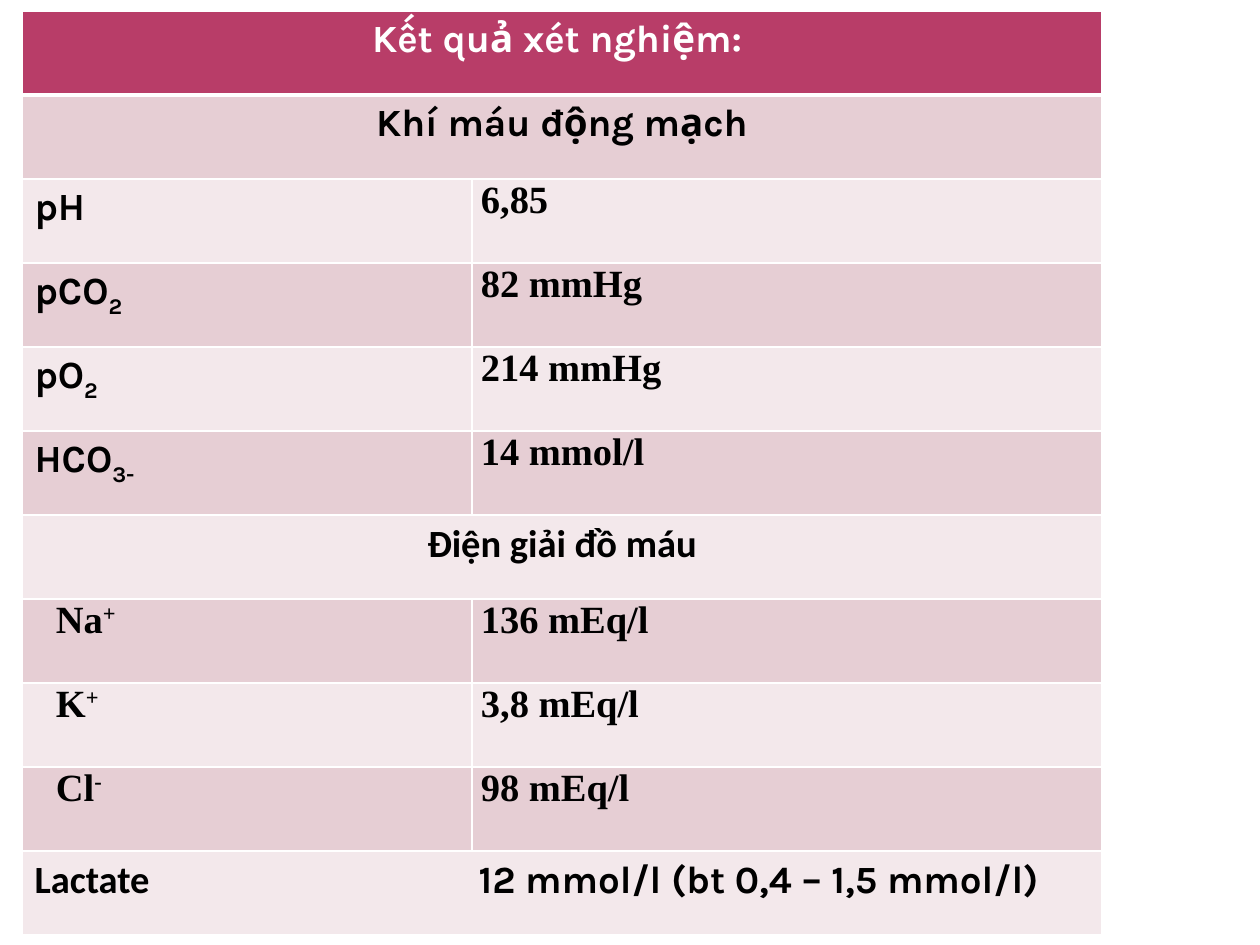
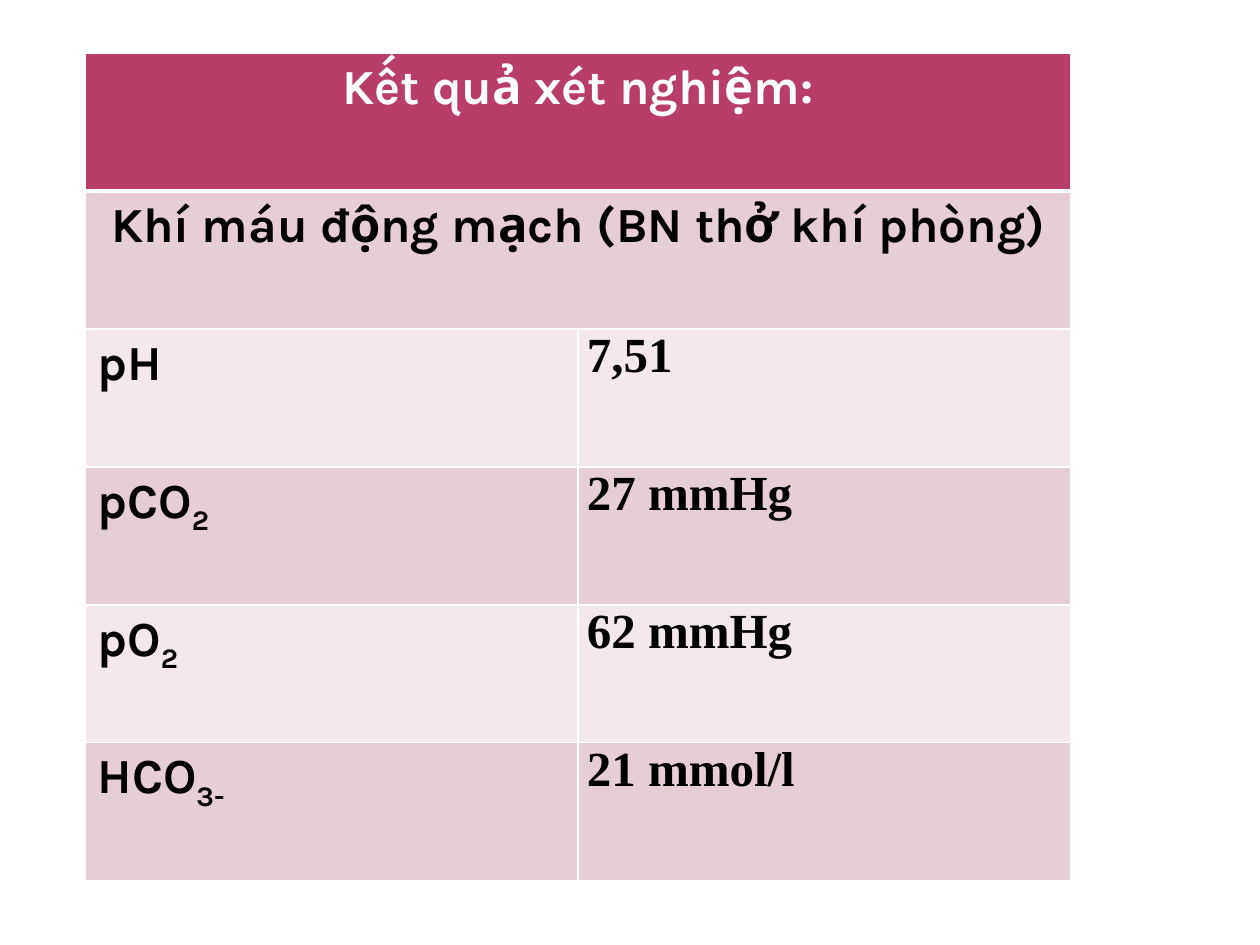
import pptx
import pptx.util
import pptx.dml.color
import pptx.enum.text
import lxml.etree
from pptx.oxml.ns import qn

EMU_PER_PX = 914400 / 126
HEADER, BAND_DARK, BAND_LIGHT = "B83D68", "E6CED4", "F3E8EB"
WHITE, BLACK = "FFFFFF", "000000"
HEADING_FONT, PLAIN_FONT, VALUE_FONT = "Karla", "Calibri", "Times New Roman"
SUBSCRIPT, SUPERSCRIPT = -25000, 30000


def px(length):
    return pptx.util.Emu(round(length * EMU_PER_PX))


def color(hex_code):
    return pptx.dml.color.RGBColor.from_string(hex_code)


def draw_border(cell, side, points):
    line = lxml.etree.SubElement(cell._tc.get_or_add_tcPr(), qn(f"a:ln{side}"), w=str(points * 12700))
    fill = lxml.etree.SubElement(line, qn("a:solidFill"))
    lxml.etree.SubElement(fill, qn("a:srgbClr"), val=WHITE)


def style_cell(cell, row):
    thick_side = {0: "B", 1: "T"}.get(row)
    for side in "LRTB":
        draw_border(cell, side, 3 if side == thick_side else 1)
    cell.fill.solid()
    band = BAND_DARK if row % 2 else BAND_LIGHT
    cell.fill.fore_color.rgb = color(band if row else HEADER)


def add_run(paragraph, text, font, size, ink=BLACK, baseline=0):
    run = paragraph.add_run()
    run.text = text
    run.font.name = font
    run.font.size = pptx.util.Pt(size)
    run.font.bold = True
    run.font.color.rgb = color(ink)
    if baseline:
        run._r.get_or_add_rPr().set("baseline", str(baseline))


def tighten(cell):
    cell.margin_left = cell.margin_right = px(9)
    cell.margin_top = cell.margin_bottom = 0


def add_results_table(slide, left, top, widths, row_height, row_count):
    frame = slide.shapes.add_table(row_count, len(widths), px(left), px(top),
                                   px(sum(widths)), px(row_height * row_count))
    results = frame.table
    for column, width in zip(results.columns, widths):
        column.width = px(width)
    for row in results.rows:
        row.height = px(row_height)
    return results


def merge_row(results, row):
    merged = results.cell(row, 0)
    merged.merge(results.cell(row, 1))
    style_cell(merged, row)
    return merged.text_frame.paragraphs[0]


def fill_heading(results, row, text, size, font=HEADING_FONT):
    heading = merge_row(results, row)
    heading.alignment = pptx.enum.text.PP_ALIGN.CENTER
    add_run(heading, text, font, size, BLACK if row else WHITE)


def fill_measure(results, row, size, name, mark, value, is_ion=False):
    label, reading = results.cell(row, 0), results.cell(row, 1)
    for cell in (label, reading):
        style_cell(cell, row)
    tighten(reading)
    label_text = label.text_frame.paragraphs[0]
    if is_ion:
        tighten(label)
        label_text._p.get_or_add_pPr().set("marL", str(px(25)))
    font = VALUE_FONT if is_ion else HEADING_FONT
    add_run(label_text, name, font, size)
    if mark:
        add_run(label_text, mark, font, size, baseline=SUPERSCRIPT if is_ion else SUBSCRIPT)
    add_run(reading.text_frame.paragraphs[0], value, VALUE_FONT, size)


def fill_tabbed(results, row, size, name, value, tab_at):
    line = merge_row(results, row)
    tabs = lxml.etree.SubElement(line._p.get_or_add_pPr(), qn("a:tabLst"))
    lxml.etree.SubElement(tabs, qn("a:tab"), pos=str(px(tab_at)), algn="l")
    add_run(line, name + "\t", PLAIN_FONT, size)
    add_run(line, value, HEADING_FONT, size)


def fill_blood_gas(results, size, title, heading, values):
    fill_heading(results, 0, title, size)
    fill_heading(results, 1, heading, size)
    gases = [("pH", ""), ("pCO", "2"), ("pO", "2"), ("HCO", "3-")]
    for row, ((name, mark), value) in enumerate(zip(gases, values), 2):
        fill_measure(results, row, size, name, mark, value)


def add_full_panel(slide):
    size = 22
    results = add_results_table(slide, 22, 11, (450, 630), 84, 11)
    fill_blood_gas(results, size, "Kết quả xét nghiệm: ", "Khí máu động mạch",
                   ("6,85", "82 mmHg", "214 mmHg", "14 mmol/l"))
    fill_heading(results, 6, "Điện giải đồ máu", size, PLAIN_FONT)
    ions = [("Na", "+", "136 mEq/l"), ("K", "+", "3,8 mEq/l"), ("Cl", "-", "98 mEq/l")]
    for row, ion in enumerate(ions, 7):
        fill_measure(results, row, size, *ion, is_ion=True)
    fill_tabbed(results, 10, size, "Lactate", "12 mmol/l (bt 0,4 – 1,5 mmol/l)", 444)


def add_room_air_panel(slide):
    results = add_results_table(slide, 85, 53, (493, 493), 138, 6)
    fill_blood_gas(results, 28, "Kết quả xét nghiệm:", "Khí máu động mạch (BN thở khí phòng)",
                   ("7,51", "27 mmHg", "62 mmHg", "21 mmol/l"))


def main():
    deck = pptx.Presentation()
    deck.slide_width, deck.slide_height = px(1260), px(945)
    blank = deck.slide_layouts[6]
    for add_panel in (add_full_panel, add_room_air_panel):
        add_panel(deck.slides.add_slide(blank))
    deck.save("out.pptx")


if __name__ == "__main__":
    main()
